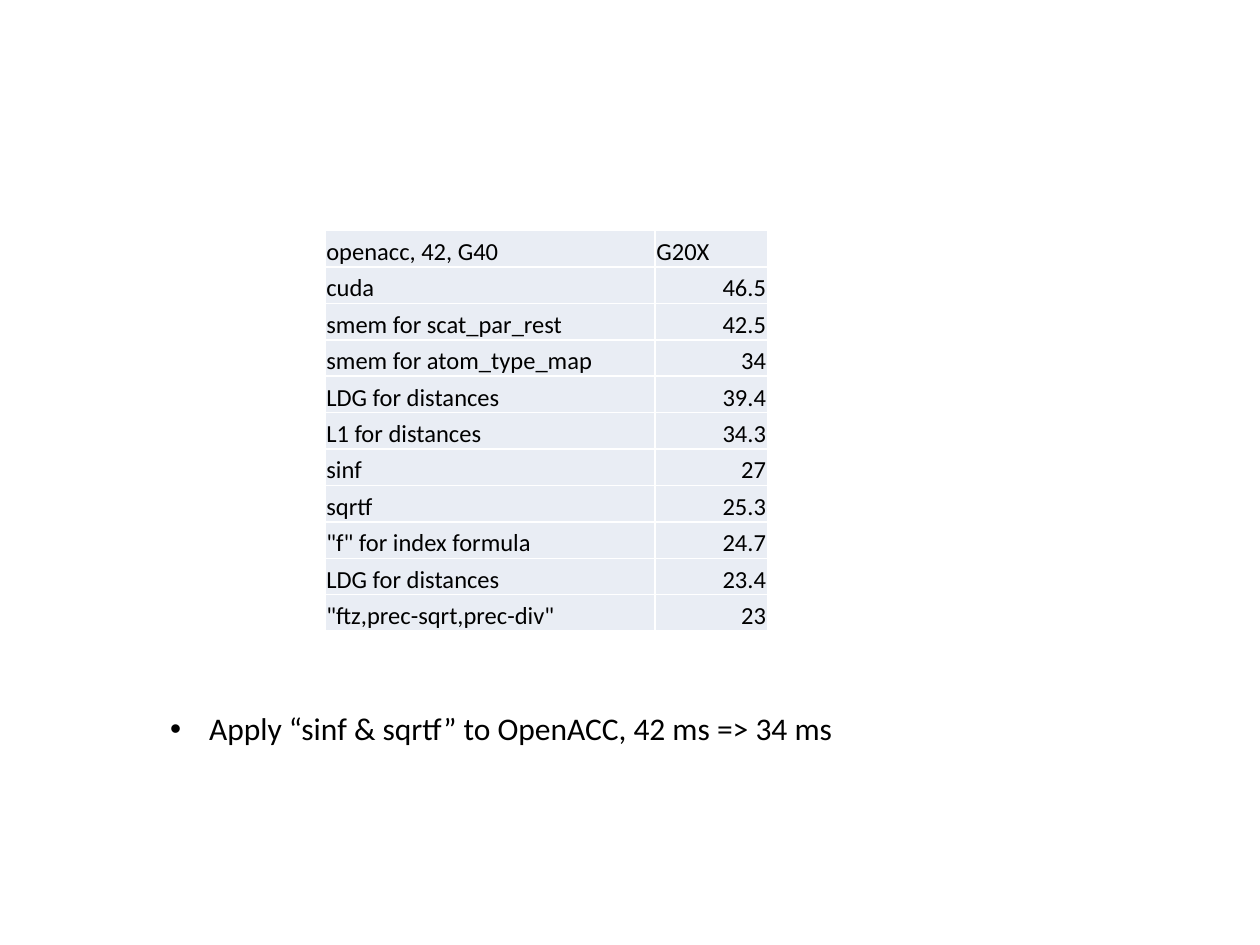
"""Builds a slide with a table of kernel timings and a closing bullet."""
from lxml import etree
from pptx import Presentation
from pptx.dml.color import RGBColor
from pptx.enum.text import MSO_ANCHOR, MSO_AUTO_SIZE, PP_ALIGN
from pptx.oxml.ns import qn
from pptx.util import Inches, Pt

BOTTOM = MSO_ANCHOR.BOTTOM
LEFT, RIGHT = PP_ALIGN.LEFT, PP_ALIGN.RIGHT
GROW = MSO_AUTO_SIZE.SHAPE_TO_FIT_TEXT
COLORS = {"text": "000000", "cell": "E9EDF4", "border": "FFFFFF"}
FONT = "Calibri"

TIMINGS = [
    ("openacc, 42, G40", "G20X"),
    ("cuda", "46.5"),
    ("smem for scat_par_rest", "42.5"),
    ("smem for atom_type_map", "34"),
    ("LDG for distances", "39.4"),
    ("L1 for distances", "34.3"),
    ("sinf", "27"),
    ("sqrtf", "25.3"),
    ('"f" for index formula', "24.7"),
    ("LDG for distances", "23.4"),
    ('"ftz,prec-sqrt,prec-div"', "23"),
]


class SlideBuilder:
    def __init__(self, slide):
        self.slide = slide

    def style(self, paragraph, size, align=LEFT):
        paragraph.alignment = align
        paragraph.font.name = FONT
        paragraph.font.size = Pt(size)
        paragraph.font.color.rgb = RGBColor.from_string(COLORS["text"])

    def border(self, cell):
        properties = cell._tc.get_or_add_tcPr()
        for side in ("a:lnL", "a:lnR", "a:lnT", "a:lnB"):
            line = etree.SubElement(properties, qn(side), w=str(Pt(1)))
            fill = etree.SubElement(line, qn("a:solidFill"))
            etree.SubElement(fill, qn("a:srgbClr"), val=COLORS["border"])

    def cell(self, cell, text, align):
        cell.text = text
        cell.vertical_anchor = BOTTOM
        cell.margin_left = cell.margin_right = cell.margin_top = Inches(0.01)
        cell.margin_bottom = 0
        self.style(cell.text_frame.paragraphs[0], 14, align)
        self.border(cell)
        cell.fill.solid()
        cell.fill.fore_color.rgb = RGBColor.from_string(COLORS["cell"])

    def table(self, rows, left, top, widths, height):
        table = self.slide.shapes.add_table(
            len(rows), len(widths), Inches(left), Inches(top),
            Inches(sum(widths)), Inches(height)).table
        table.first_row = table.horz_banding = False
        for column, width in zip(table.columns, widths):
            column.width = Inches(width)
        for r, values in enumerate(rows):
            for c, value in enumerate(values):
                self.cell(table.cell(r, c), value, RIGHT if r and c else LEFT)

    def bullet(self, text, left, top, width, height):
        body = self.slide.placeholders[1]
        body.left, body.top = Inches(left), Inches(top)
        body.width, body.height = Inches(width), Inches(height)
        frame = body.text_frame
        frame.text = text
        frame.word_wrap = False
        frame.auto_size = GROW
        paragraph = frame.paragraphs[0]
        self.style(paragraph, 18)
        paragraph.space_before = Pt(0)
        properties = paragraph._p.get_or_add_pPr()
        properties.set("marL", str(Inches(0.31)))
        properties.set("indent", str(Inches(-0.31)))

    def remove_title(self):
        title = self.slide.shapes.title.element
        title.getparent().remove(title)


deck = Presentation()
deck.slide_width, deck.slide_height = Inches(10), Inches(7.5)
builder = SlideBuilder(deck.slides.add_slide(deck.slide_layouts[1]))
builder.remove_title()
builder.table(TIMINGS, 2.58, 1.83, (2.62, 0.89), 3.18)
builder.bullet("Apply “sinf & sqrtf” to OpenACC, 42 ms => 34 ms", 1.25, 5.58, 5.53, 0.4)
deck.save("out.pptx")
